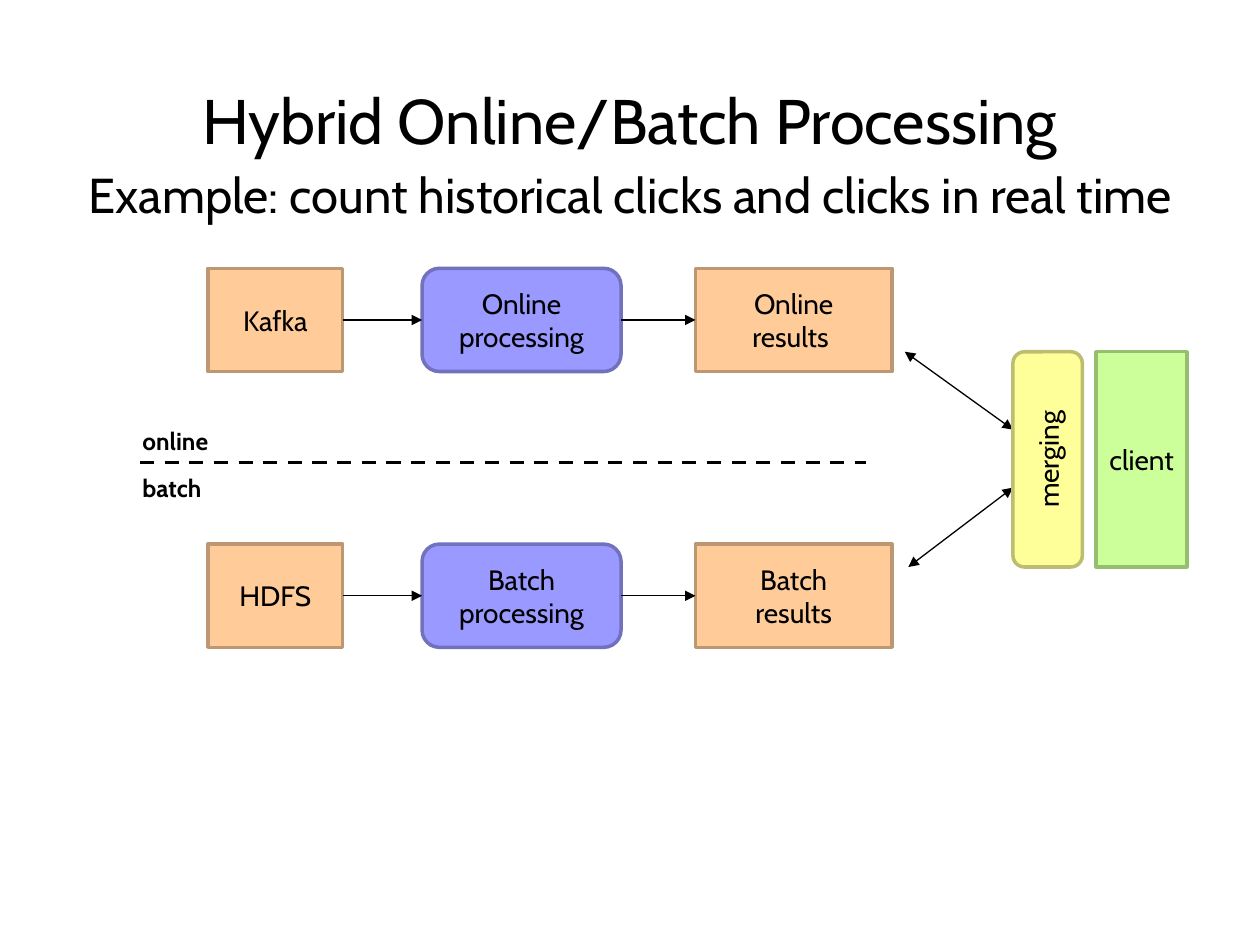
from copy import deepcopy
from dataclasses import dataclass
from typing import Any

from lxml import etree
from pptx import Presentation
from pptx import util as u
from pptx.dml.color import RGBColor
from pptx.enum import dml, shapes, text
from pptx.oxml import ns

BLACK = RGBColor(0x00, 0x00, 0x00)
ORANGE, ORANGE_EDGE = RGBColor(0xFF, 0xCC, 0x99), RGBColor(0xBD, 0x97, 0x71)
BLUE, BLUE_EDGE = RGBColor(0x99, 0x99, 0xFF), RGBColor(0x71, 0x71, 0xBD)
YELLOW, YELLOW_EDGE = RGBColor(0xFF, 0xFF, 0x99), RGBColor(0xBD, 0xBD, 0x71)
GREEN, GREEN_EDGE = RGBColor(0xCC, 0xFF, 0x99), RGBColor(0x97, 0xBD, 0x71)

RECT = shapes.MSO_SHAPE.RECTANGLE
ROUNDED = shapes.MSO_SHAPE.ROUNDED_RECTANGLE
RIGHT_SIDE, LEFT_SIDE = 3, 1


@dataclass
class Diagram:
    """Draws the diagram's elements on one slide in one style."""

    slide: Any
    font: str = "Cabin"
    node_size: int = 16

    def set_words(self, frame, words, size, bold=False, align=None):
        frame.text = words
        for paragraph in frame.paragraphs:
            paragraph.alignment = align
            for run in paragraph.runs:
                run.font.name = self.font
                run.font.size = u.Pt(size)
                run.font.bold = bold
                run.font.color.rgb = BLACK
            for line_break in paragraph._p.findall(ns.qn("a:br")):
                line_break.append(deepcopy(paragraph.runs[0]._r.rPr))

    def heading(self, words, top, height, size):
        box = self.slide.shapes.add_textbox(0, u.Cm(top), u.Cm(25.4), u.Cm(height))
        box.text_frame.word_wrap = True
        self.set_words(box.text_frame, words, size, align=text.PP_ALIGN.CENTER)

    def label(self, words, top, width):
        box = self.slide.shapes.add_textbox(u.Cm(2.62), u.Cm(top), u.Cm(width), u.Cm(0.86))
        box.text_frame.word_wrap = False
        box.text_frame.auto_size = text.MSO_AUTO_SIZE.SHAPE_TO_FIT_TEXT
        self.set_words(box.text_frame, words, 14, bold=True)

    def node(self, words, kind, bounds, fill, edge, parent=None, rotation=0):
        parent = parent or self.slide
        node = parent.shapes.add_shape(kind, *map(u.Cm, bounds))
        node.shadow.inherit = False
        node.rotation = rotation
        node.fill.solid()
        node.fill.fore_color.rgb = fill
        node.line.color.rgb = edge
        node.line.width = u.Pt(2)
        frame = node.text_frame
        frame.word_wrap = True
        frame.vertical_anchor = text.MSO_ANCHOR.MIDDLE
        frame.margin_top = frame.margin_bottom = 0
        self.set_words(frame, words, self.node_size, align=text.PP_ALIGN.CENTER)
        return node

    def line(self, start, end, width=0.75, ends=(), parent=None):
        parent = parent or self.slide
        line = parent.shapes.add_connector(
            shapes.MSO_CONNECTOR.STRAIGHT, *map(u.Cm, (*start, *end)))
        line.line.color.rgb = BLACK
        line.line.width = u.Pt(width)
        for end_name in ends:
            etree.SubElement(line.line._get_or_add_ln(), ns.qn(f"a:{end_name}"), type="triangle")
        etree.SubElement(line._element.spPr, ns.qn("a:effectLst"))
        return line

    def pipeline(self, top, source, processing, results):
        row = self.slide.shapes.add_group_shape()
        stages = [
            self.node(words, kind, (left, top, width, 2.08), fill, edge, row)
            for words, kind, left, width, fill, edge in (
                (source, RECT, 4.19, 2.72, ORANGE, ORANGE_EDGE),
                (processing, ROUNDED, 8.51, 4.01, BLUE, BLUE_EDGE),
                (results, RECT, 14.02, 3.96, ORANGE, ORANGE_EDGE),
            )
        ]
        middle = top + 1.04
        for before, after in zip(stages, stages[1:]):
            start = (before.left + before.width) / u.Cm(1), middle
            arrow = self.line(start, (after.left / u.Cm(1), middle), ends=["tailEnd"], parent=row)
            arrow.begin_connect(before, RIGHT_SIDE)
            arrow.end_connect(after, LEFT_SIDE)


def main():
    deck = Presentation()
    deck.slide_width, deck.slide_height = u.Cm(25.4), u.Cm(19.05)
    diagram = Diagram(deck.slides.add_slide(deck.slide_layouts[6]))

    divider = diagram.line((2.82, 9.32), (17.45, 9.32), width=2)
    divider.line.dash_style = dml.MSO_LINE.DASH
    diagram.node("client", RECT, (22.1, 7.09, 1.83, 4.34), GREEN, GREEN_EDGE)
    for results_end, merging_end in (
        ((18.24, 7.09), (20.42, 8.66)),
        ((18.31, 11.43), (20.42, 9.83)),
    ):
        diagram.line(results_end, merging_end, ends=["headEnd", "tailEnd"])
    diagram.label("online", 8.46, 2.06)
    diagram.label("batch", 9.42, 1.93)
    diagram.node("merging", ROUNDED, (18.95, 8.56, 4.34, 1.4), YELLOW, YELLOW_EDGE, rotation=270)

    diagram.heading("Example: count historical clicks and clicks in real time", 3.2, 1.45, 28)
    diagram.heading("Hybrid Online/Batch Processing", 1.52, 1.9, 36)

    diagram.pipeline(5.41, "Kafka", "Online\vprocessing", "Online\vresults ")
    diagram.pipeline(10.97, "HDFS", "Batch\vprocessing", "Batch\vresults")
    deck.save("out.pptx")


if __name__ == "__main__":
    main()
